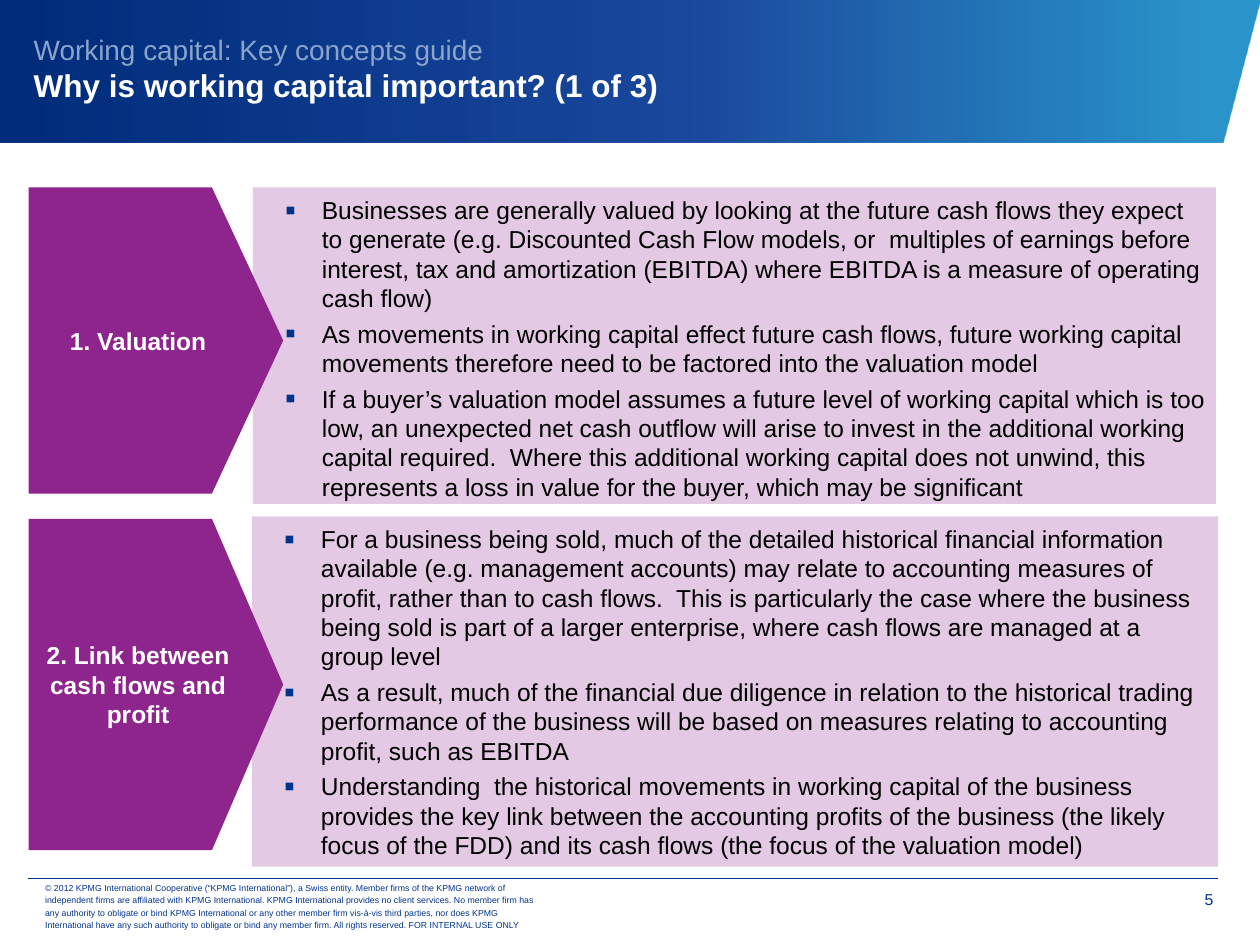
"""Build the slide on why working capital matters."""
from dataclasses import dataclass

from lxml.etree import SubElement
from pptx import Presentation
from pptx.dml.color import RGBColor
from pptx.enum.shapes import MSO_CONNECTOR, MSO_SHAPE
from pptx.enum.text import MSO_ANCHOR, PP_ALIGN
from pptx.oxml.ns import qn
from pptx.util import Cm, Pt


@dataclass(frozen=True)
class Theme:
    face: str = "Arial"
    navy: str = "00338D"
    plum: str = "8E258D"
    pale: str = "E3C9E3"
    haze: str = "8AA5CB"
    white: str = "FFFFFF"
    black: str = "000000"
    blend: tuple = ((4, "0080C0", 83), (44, "003492", 89), (100, "002C7A", 100))
    kicker: int = 16
    title: int = 18
    body: int = 14
    page: int = 9
    legal: int = 5


THEME = Theme()
LEGAL = (
    "© 2012 KPMG International Cooperative (“KPMG International”), a Swiss entity. "
    "Member firms of the KPMG network of independent firms are affiliated with KPMG "
    "International. KPMG International provides no client services. No member firm has "
    "any authority to obligate or bind KPMG International or any other member firm "
    "vis-à-vis third parties, nor does KPMG International have any such authority to "
    "obligate or bind any member firm. All rights reserved. FOR INTERNAL USE ONLY"
)
TOPICS = (
    ("1. Valuation", (0.58, 3.78, 5.13, 6.17), (5.1, 3.78, 19.41, 6.38), (
        "Businesses are generally valued by looking at the future cash flows they expect "
        "to generate (e.g. Discounted Cash Flow models, or  multiples of earnings before "
        "interest, tax and amortization (EBITDA) where EBITDA is a measure of operating "
        "cash flow)",
        "As movements in working capital effect future cash flows, future working capital "
        "movements therefore need to be factored into the valuation model",
        "If a buyer’s valuation model assumes a future level of working capital which is "
        "too low, an unexpected net cash outflow will arise to invest in the additional "
        "working capital required.  Where this additional working capital does not unwind, "
        "this represents a loss in value for the buyer, which may be significant",
    )),
    ("2. Link between cash flows and profit", (0.58, 10.46, 5.13, 6.68),
     (5.08, 10.41, 19.48, 7.06), (
        "For a business being sold, much of the detailed historical financial information "
        "available (e.g. management accounts) may relate to accounting measures of profit, "
        "rather than to cash flows.  This is particularly the case where the business being "
        "sold is part of a larger enterprise, where cash flows are managed at a group level",
        "As a result, much of the financial due diligence in relation to the historical "
        "trading performance of the business will be based on measures relating to "
        "accounting profit, such as EBITDA",
        "Understanding  the historical movements in working capital of the business "
        "provides the key link between the accounting profits of the business (the likely "
        "focus of the FDD) and its cash flows (the focus of the valuation model)",
    )),
)


def style(font, size, color, bold=False):
    """Set face, size, colour and weight."""
    font.name, font.size, font.bold = THEME.face, Pt(size), bold
    font.color.rgb = RGBColor.from_string(color)


def inset(frame, *sides):
    """Set the left, top, right and bottom margins."""
    (frame.margin_left, frame.margin_top,
     frame.margin_right, frame.margin_bottom) = map(Cm, sides)


def add_text(slide, area, anchor):
    """Add a wrapped text box and return its frame."""
    frame = slide.shapes.add_textbox(*map(Cm, area)).text_frame
    frame.word_wrap, frame.vertical_anchor = True, anchor
    return frame


def add_block(slide, kind, area, color, anchor):
    """Add a plain filled shape."""
    shape = slide.shapes.add_shape(kind, *map(Cm, area))
    shape.shadow.inherit = False
    shape.fill.solid()
    shape.fill.fore_color.rgb = RGBColor.from_string(color)
    shape.line.fill.background()
    frame = shape.text_frame
    frame.word_wrap, frame.vertical_anchor = True, anchor
    inset(frame, 0.15, 0.15, 0.15, 0.15)
    return shape


def add_banner(slide):
    """Draw the slanted header band with its gradient."""
    pen = slide.shapes.build_freeform(Cm(0), Cm(2.88), scale=1.0)
    corners = ((24.64, 2.88), (25.4, 0), (0, 0))
    pen.add_line_segments([(Cm(x), Cm(y)) for x, y in corners])
    band = pen.convert_to_shape()
    band.shadow.inherit = False
    band.line.fill.background()
    band.fill.gradient()
    band.fill.gradient_angle = 180
    stops = band.fill._fill._gradFill.find(qn("a:gsLst"))
    stops.clear()
    for place, color, alpha in THEME.blend:
        stop = SubElement(stops, qn("a:gs"), pos=str(place * 1000))
        tone = SubElement(stop, qn("a:srgbClr"), val=color)
        SubElement(tone, qn("a:alpha"), val=str(alpha * 1000))


def add_title(slide):
    """Write the guide name over the slide title."""
    para = add_text(slide, (0.43, 0, 24.97, 2.74), MSO_ANCHOR.MIDDLE).paragraphs[0]
    run = para.add_run()
    run.text = "Working capital: Key concepts guide"
    style(run.font, THEME.kicker, THEME.haze)
    para.add_line_break()
    run = para.add_run()
    run.text = "Why is working capital important? (1 of 3)"
    style(run.font, THEME.title, THEME.white, True)


def add_bullet(para):
    """Give a paragraph a hanging square bullet."""
    props = para._p.get_or_add_pPr()
    props.set("marL", str(Cm(1.24)))
    props.set("indent", str(Cm(-0.74)))
    tint = SubElement(props, qn("a:buClr"))
    SubElement(tint, qn("a:srgbClr"), val=THEME.navy)
    SubElement(props, qn("a:buSzPct"), val="125000")
    SubElement(props, qn("a:buFont"), typeface=THEME.face)
    SubElement(props, qn("a:buChar"), char="▪")


def add_points(slide, area, points):
    """Add a panel of bulleted points."""
    panel = add_block(slide, MSO_SHAPE.RECTANGLE, area, THEME.pale, MSO_ANCHOR.TOP)
    frame = panel.text_frame
    for place, point in enumerate(points):
        para = frame.add_paragraph() if place else frame.paragraphs[0]
        para.text, para.level, para.alignment = point, 1, PP_ALIGN.LEFT
        if place:
            para.space_before = Pt(3.5)
        add_bullet(para)
        style(para.font, THEME.body, THEME.black)


def add_label(slide, area, label):
    """Add an arrow tag that points at its panel."""
    tag = add_block(slide, MSO_SHAPE.PENTAGON, area, THEME.plum, MSO_ANCHOR.MIDDLE)
    tag.adjustments[0] = 0.28
    para = tag.text_frame.paragraphs[0]
    para.text, para.alignment = label, PP_ALIGN.CENTER
    style(para.font, THEME.body, THEME.white, True)


def add_footer(slide):
    """Add the rule, legal line and page number."""
    ends = map(Cm, (0.56, 17.7, 24.56, 17.7))
    rule = slide.shapes.add_connector(MSO_CONNECTOR.STRAIGHT, *ends)
    rule.line.color.rgb = RGBColor.from_string(THEME.navy)
    rule.line.width = Pt(0.25)
    SubElement(rule._element.spPr, qn("a:effectLst"))
    para = add_text(slide, (0.66, 17.81, 10.54, 0.89), MSO_ANCHOR.MIDDLE).paragraphs[0]
    para.text, para.line_spacing = LEGAL, Pt(7)
    style(para.font, THEME.legal, THEME.navy)
    frame = add_text(slide, (23.06, 17.73, 1.4, 0.79), MSO_ANCHOR.TOP)
    inset(frame, 0.2, 0.2, 0, 0)
    para = frame.paragraphs[0]
    para.text, para.alignment = "5", PP_ALIGN.RIGHT
    style(para.font, THEME.page, THEME.navy)


def main():
    """Build and save the deck."""
    deck = Presentation()
    deck.slide_width, deck.slide_height = Cm(25.4), Cm(19.05)
    slide = deck.slides.add_slide(deck.slide_layouts[6])
    add_banner(slide)
    add_footer(slide)
    add_title(slide)
    for label, spot, area, points in TOPICS:
        add_points(slide, area, points)
        add_label(slide, spot, label)
    deck.save("out.pptx")


if __name__ == "__main__":
    main()
